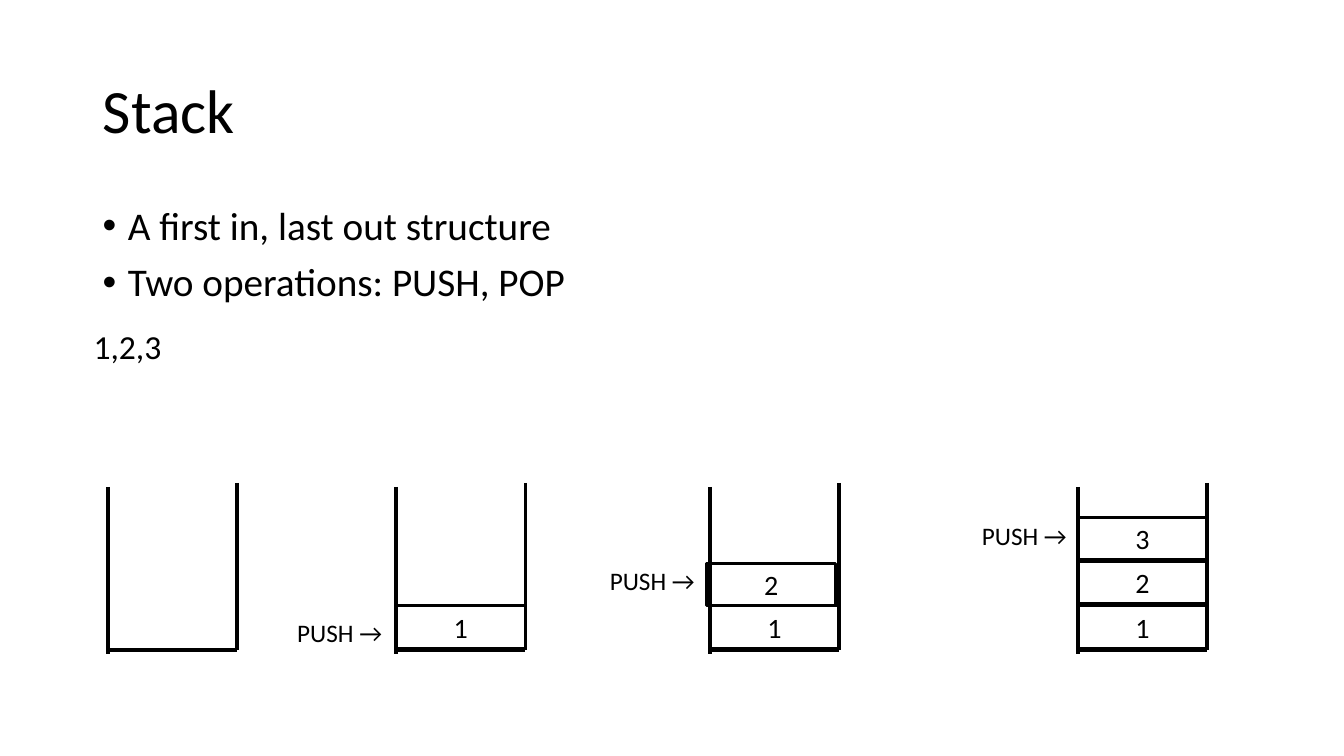
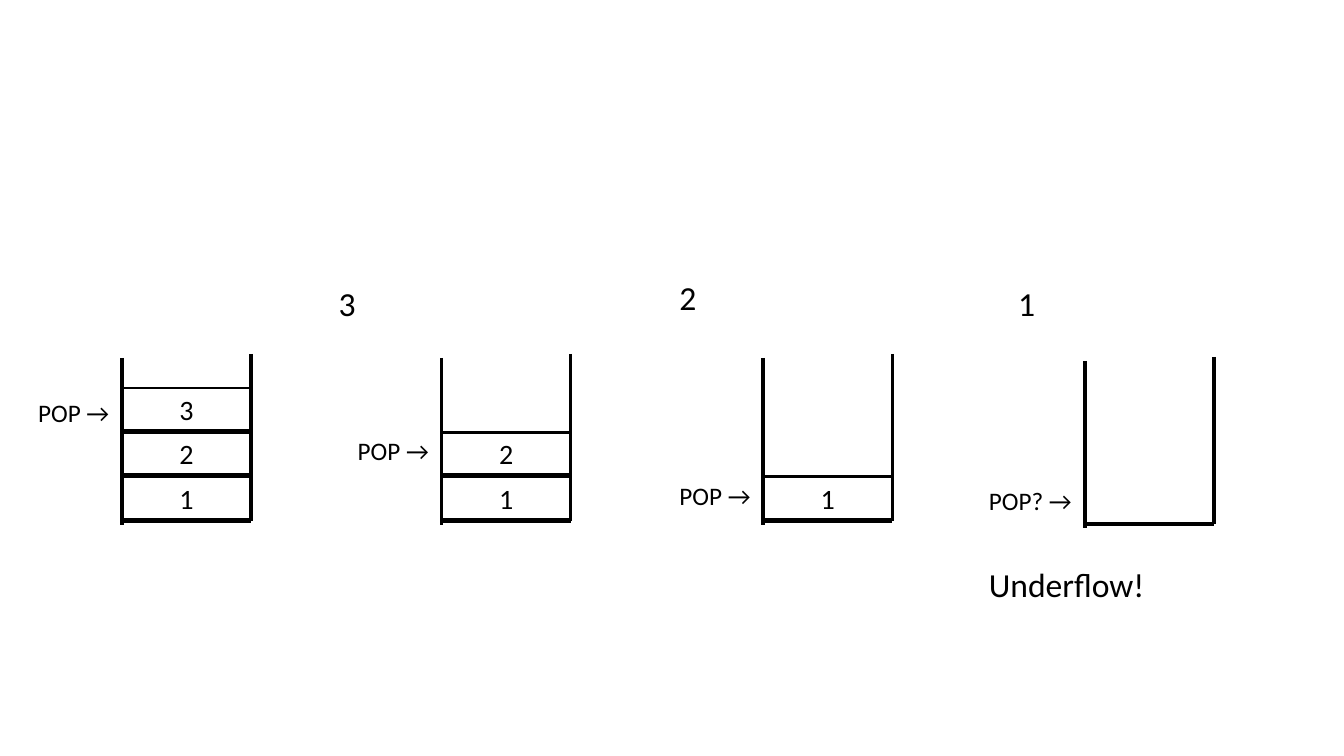
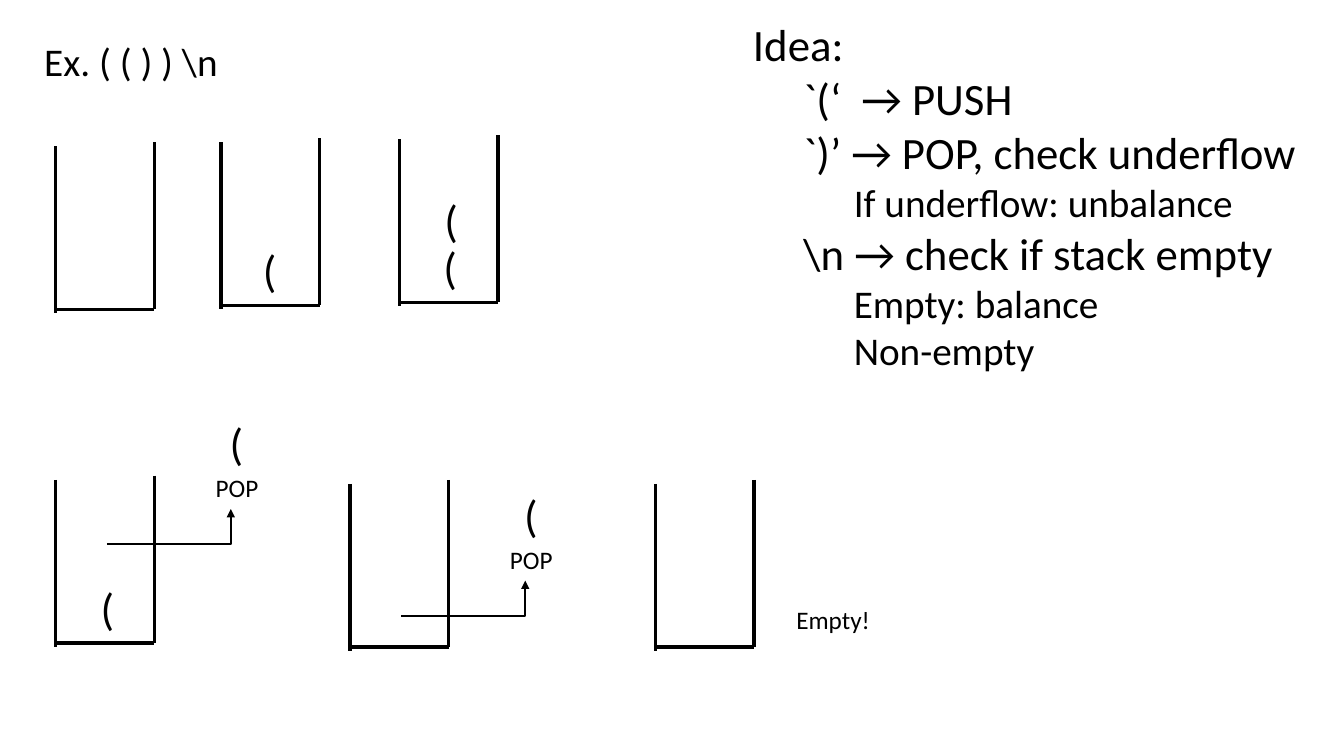
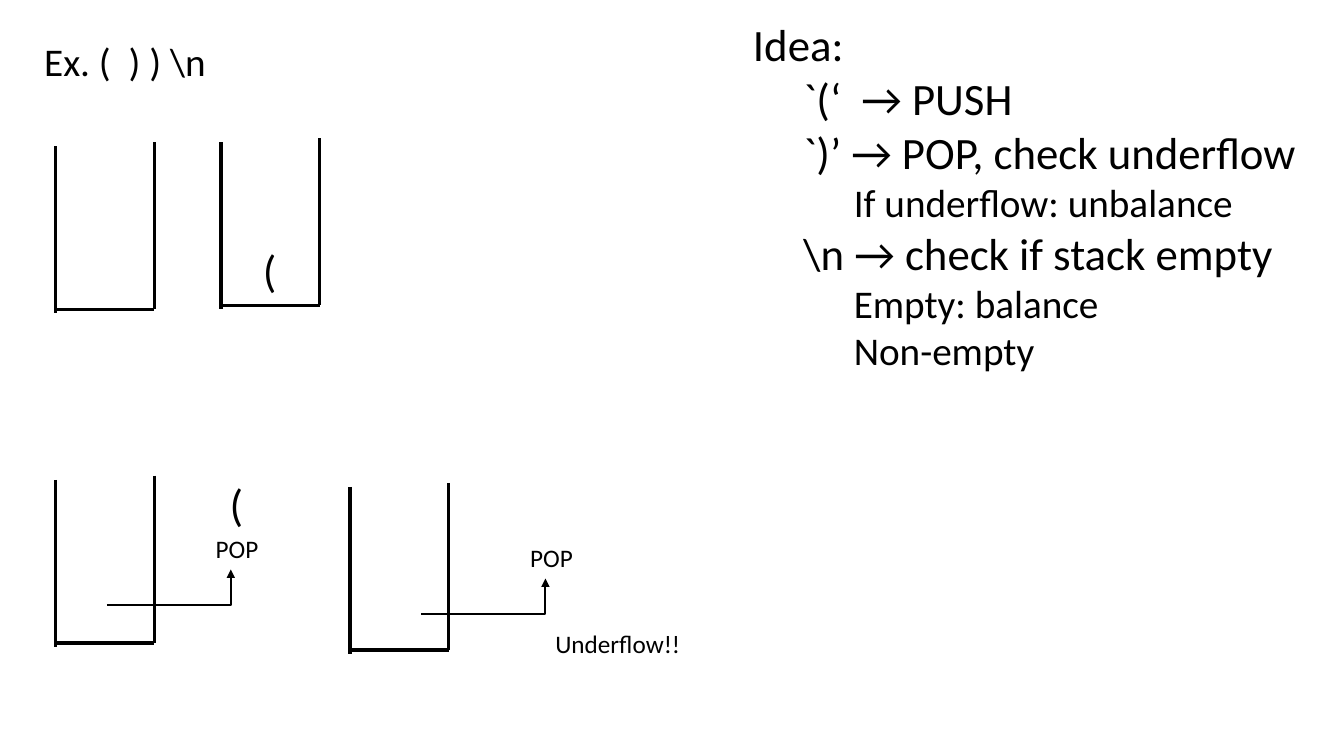
"""Builds four slides on stacks and balanced brackets."""
from lxml.etree import SubElement as sub
from pptx import Presentation
from pptx.dml.color import RGBColor as RGB
from pptx.enum.shapes import MSO_CONNECTOR as LINK, MSO_SHAPE as SHAPE
from pptx.enum.text import MSO_ANCHOR as ANCHOR, MSO_AUTO_SIZE as AUTO, PP_ALIGN as ALIGN
from pptx.oxml.ns import qn
from pptx.util import Inches, Pt

COLORS = {"ink": "000000"}
FONT = "Calibri"
UNIT = Inches(0.1)
HEIGHT = {18: 4, 24: 5, 28: 5.7, 32: 6.4}
CELL, PITCH = 4.2, 4.4
WIDE, SLIM = 12.8, 9.8
IDEA = [
    (0, "Idea: "),
    (1, "`(‘  → PUSH"),
    (1, "`)’ → POP, check underflow"),
    (2, "If underflow: unbalance"),
    (1, "\\n → check if stack empty"),
    (2, "Empty: balance"),
    (2, "Non-empty"),
]


def grid(*cells):
    return [round(cell * UNIT) for cell in cells]


class Page:
    """Holds the style and the current slide, on a grid of tenths of an inch."""

    def __init__(self, deck):
        self.deck = deck
        self.slide = None

    def new(self, title=None):
        self.slide = self.deck.slides.add_slide(self.deck.slide_layouts[5 if title else 6])
        if title:
            head = self.slide.shapes.title
            head.left, head.top, head.width, head.height = grid(9.2, 4, 115, 14.5)
            head.text_frame.text = title
            head.text_frame.vertical_anchor = ANCHOR.MIDDLE
            para = head.text_frame.paragraphs[0]
            para.alignment, para.line_spacing = ALIGN.LEFT, 0.9
            self.font(para, 44)

    def font(self, para, size):
        for run in para.runs:
            run.font.name, run.font.size = FONT, Pt(size)
            run.font.color.rgb = RGB.from_string(COLORS["ink"])

    def stroke(self, shape, width):
        shape.line.color.rgb = RGB.from_string(COLORS["ink"])
        shape.line.width = Pt(width)

    def link(self, shapes, ends, width, kind=LINK.STRAIGHT):
        line = shapes.add_connector(kind, *grid(*ends))
        self.stroke(line, width)
        sub(line._element.spPr, qn("a:effectLst"))
        return line

    def text(self, x, y, width, words, size=18, wrap=False):
        box = self.slide.shapes.add_textbox(*grid(x, y, width, HEIGHT[size]))
        frame = box.text_frame
        frame.word_wrap, frame.auto_size = wrap, AUTO.SHAPE_TO_FIT_TEXT
        frame.text = words
        self.font(frame.paragraphs[0], size)

    def lines(self, x, y, width, height, words):
        frame = self.slide.shapes.add_textbox(*grid(x, y, width, height)).text_frame
        frame.word_wrap = True
        frame.text = "\n".join(words)
        return frame.paragraphs

    def points(self, x, y, width, height, words):
        for para in self.lines(x, y, width, height, words):
            para.line_spacing, para.space_before = 0.9, Pt(10)
            self.font(para, 28)
            props = para._p.get_or_add_pPr()
            props.set("marL", str(Inches(0.25)))
            props.set("indent", str(-Inches(0.25)))
            sub(props, qn("a:buFont"), typeface="Arial")
            sub(props, qn("a:buChar"), char="•")

    def idea(self):
        paras = self.lines(73.7, 1.2, 66.7, 36.7, [words for _, words in IDEA])
        for para, (level, _) in zip(paras, IDEA):
            para.level = level
            para._p.get_or_add_pPr().set("marL", str(Inches(level / 2)))
            self.font(para, 28 if level == 2 else 32)

    def cell(self, x, y, words):
        box = self.slide.shapes.add_shape(SHAPE.RECTANGLE, *grid(x, y, WIDE, CELL))
        box.shadow.inherit = False
        box.fill.background()
        self.stroke(box, 2)
        frame = box.text_frame
        frame.text, frame.vertical_anchor = words, ANCHOR.MIDDLE
        frame.paragraphs[0].alignment = ALIGN.CENTER
        self.font(frame.paragraphs[0], 20)

    def stack(self, x, base, width=WIDE, items=""):
        group = self.slide.shapes.add_group_shape().shapes
        right = x + width
        for ends in ((x, base - 16.2, x, base + 0.4),
                     (right, base - 16.6, right, base),
                     (x, base, right, base)):
            self.link(group, ends, 2.5)
        for count, item in enumerate(items, 1):
            self.cell(x, base - PITCH * count, item)

    def mark(self, x, y):
        self.text(x, y, 3.4, "(", 32)

    def pop(self, x, y, mark=True):
        ends = (x, y, x + 12.3, y - 3.5)
        line = self.link(self.slide.shapes, ends, 1.5, LINK.ELBOW)
        props = line._element.spPr
        sub(props.find(".//" + qn("a:avLst")), qn("a:gd"), name="adj1", fmla="val 100000")
        sub(props.find(qn("a:ln")), qn("a:tailEnd"), type="triangle")
        self.text(x + 9.8, y - 7.6, 6.3, "POP")
        if mark:
            self.mark(x + 11.2, y - 13.2)


deck = Presentation()
deck.slide_width, deck.slide_height = Inches(13.33), Inches(7.5)
page = Page(deck)

page.new("Stack")
page.points(9.2, 20, 115, 11.6, ["A first in, last out structure", "Two operations: PUSH, POP"])
page.text(8.3, 31.8, 8.8, "1,2,3", 24)
for x, items in ((10.7, ""), (39.3, "1"), (70.4, "1"), (106.9, "123")):
    page.stack(x, 64.5, items=items)
page.cell(70.1, 55.9, "2")
for x, y in ((28.5, 60.8), (59.5, 55.6), (96.4, 51.1)):
    page.text(x, y, 10.7, "PUSH →")

page.new()
for x, items, y in ((12.1, "123", 38.9), (43.8, "12", 42.7), (75.7, "1", 47.2)):
    page.stack(x, 51.7, items=items)
    page.text(x - 9.3, y, 9.3, "POP →")
page.stack(107.6, 52)
page.text(97.1, 47.7, 10.5, "POP? →")
page.text(97.1, 55.5, 17.6, "Underflow!", 24)
for x, y, width, words in ((32.6, 27.6, 3.7, "3"), (66.4, 27, 25.3, "2"), (100, 27.6, 20.4, "1")):
    page.text(x, y, width, words, 24, wrap=True)

for words, width in (("Ex. ( ( ) ) \\n", 19.5), ("Ex. (  ) ) \\n", 18.3)):
    page.new()
    page.idea()
    page.text(3.4, 3.2, width, words, 28)
    for x, base in ((5.5, 30.7), (21.9, 30.3), (5.5, 63.8)):
        page.stack(x, base, SLIM)
    page.mark(25.1, 23.6)
    if words.count("(") == 2:
        for x, base in ((39.6, 30), (34.7, 64.2), (65, 64.2)):
            page.stack(x, base, SLIM)
        for x, y in ((43, 23.3), (43.1, 18.6), (9, 57.1)):
            page.mark(x, y)
        page.pop(10.6, 54)
        page.pop(39.8, 61.1)
        page.text(78, 59.5, 9.4, "Empty!")
    else:
        page.stack(34.7, 64.5, SLIM)
        page.pop(10.6, 60)
        page.pop(41.8, 60.9, mark=False)
        page.text(54.1, 61.8, 14.6, "Underflow!!")

deck.save("out.pptx")
